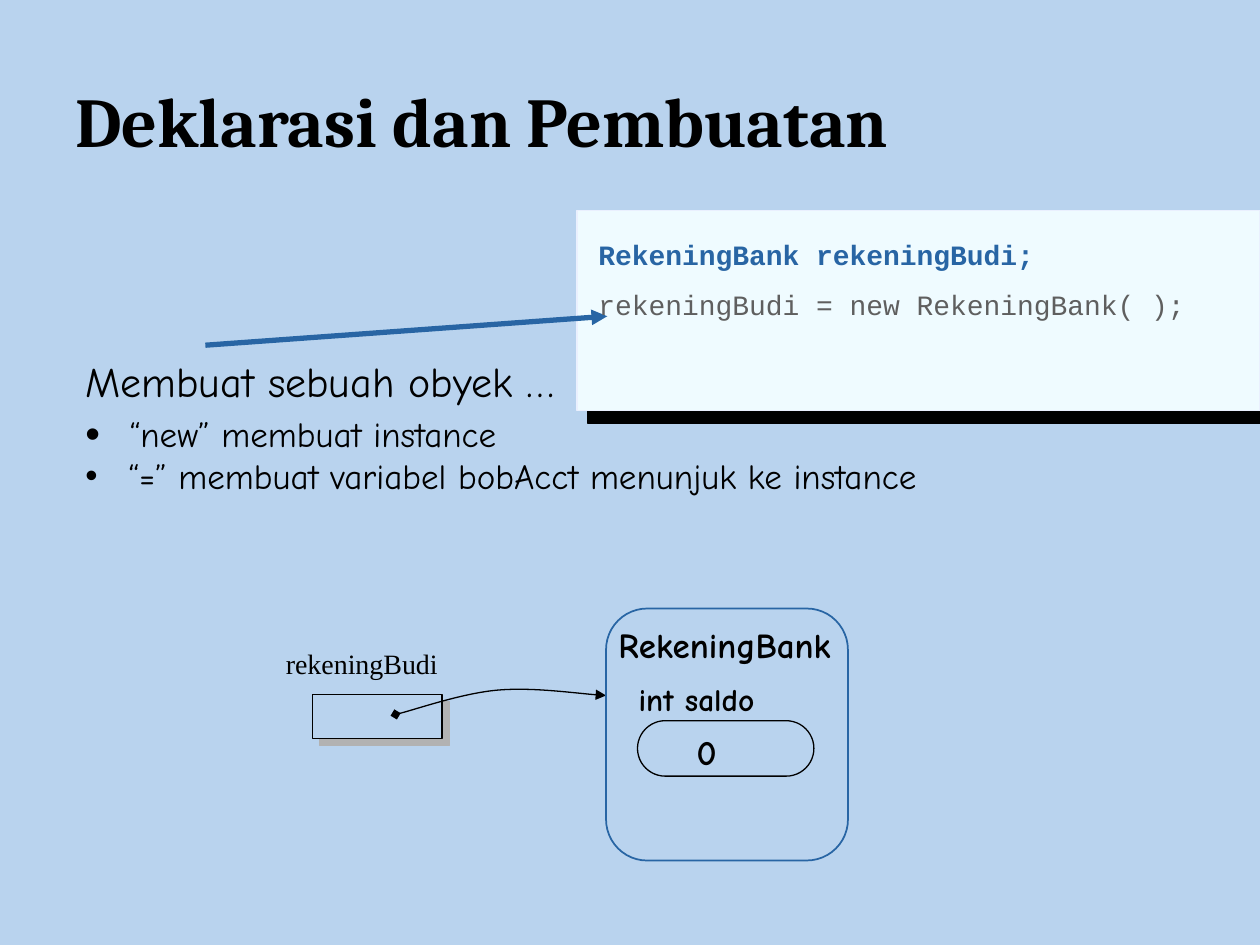
from dataclasses import dataclass

from lxml import etree
from pptx import Presentation
from pptx import util as u
from pptx.dml.color import RGBColor
from pptx.enum import shapes, text
from pptx.oxml.ns import qn


@dataclass(frozen=True)
class Theme:
    bg: str = "B9D3EE"
    ink: str = "000000"
    accent: str = "2865A4"
    muted: str = "5F5F5F"
    panel: str = "EFFBFF"
    panel_line: str = "EAF0FE"
    shade: str = "B2B2B2"
    heading: str = "Cambria"
    body: str = "Comic Neue"
    code: str = "Courier New"
    serif: str = "Times New Roman"
    title_size: int = 40
    lead_size: int = 24
    body_size: int = 20
    field_size: int = 18
    code_size: int = 16


T = Theme()


def rgb(value):
    return RGBColor.from_string(value)


def sub(parent, tag, **attrs):
    return etree.SubElement(parent, qn(tag), {k: str(v) for k, v in attrs.items()})


def set_line(line, color, width):
    line.color.rgb = rgb(color)
    line.width = u.Pt(width)


def add_ends(line, **ends):
    """Put arrowheads on a line: headEnd is its start, tailEnd its finish."""
    ln = line._get_or_add_ln()
    for tag, kind in ends.items():
        sub(ln, f"a:{tag}", type=kind)


def add_box(s, kind, box, line, width=0.75, fill=None, adj=None, shadow=None):
    sp = s.shapes.add_shape(kind, *map(u.Inches, box))
    sp.shadow.inherit = False
    if fill:
        sp.fill.solid()
        sp.fill.fore_color.rgb = rgb(fill)
    else:
        sp.fill.background()
    set_line(sp.line, line, width)
    if adj is not None:
        sp.adjustments[0] = adj
    if shadow:
        color, distance, angle = shadow
        effects = sp._element.spPr.find(qn("a:effectLst"))
        outer = sub(effects, "a:outerShdw", dist=u.Pt(distance),
                    dir=angle * 60000, algn="ctr", rotWithShape=0)
        sub(outer, "a:srgbClr", val=color)
    return sp


def style(p, font, size, color=T.ink, bold=False):
    for r in p.runs:
        r.font.name = font
        r.font.size = u.Pt(size)
        r.font.bold = bold
        r.font.color.rgb = rgb(color)


def add_text(s, box, content, font, size, bold=False, wrap=False):
    sp = s.shapes.add_textbox(*map(u.Inches, box))
    tf = sp.text_frame
    tf.word_wrap = wrap
    tf.auto_size = text.MSO_AUTO_SIZE.SHAPE_TO_FIT_TEXT
    tf.text = content
    for p in tf.paragraphs:
        style(p, font, size, bold=bold)
    return tf


def add_bullet(p, indent, percent):
    pPr = p._p.get_or_add_pPr()
    pPr.set("marL", str(u.Inches(indent)))
    pPr.set("indent", str(-u.Inches(indent)))
    sub(pPr, "a:buSzPct", val=percent * 1000)
    sub(pPr, "a:buFont", typeface="Arial")
    sub(pPr, "a:buChar", char="•")


def add_arrow(s, start, end, color, width):
    sp = s.shapes.add_connector(shapes.MSO_CONNECTOR.STRAIGHT,
                                *map(u.Inches, start + end))
    set_line(sp.line, color, width)
    sub(sp._element.spPr, "a:effectLst")
    # The effect list has to follow the line properties
    add_ends(sp.line, tailEnd="triangle")


def add_curve(s, points, color, width):
    """Draw a chain of cubic curves: a start, then three points per curve."""
    start, *rest = [tuple(map(u.Inches, pt)) for pt in points]
    builder = s.shapes.build_freeform(*start)
    builder.add_line_segments(rest, close=False)
    sp = builder.convert_to_shape()
    sp.shadow.inherit = False
    sp.fill.background()
    set_line(sp.line, color, width)
    add_ends(sp.line, headEnd="diamond", tailEnd="triangle")
    path = next(sp._element.iter(qn("a:path")))
    segments = path.findall(qn("a:lnTo"))
    for i in range(0, len(segments), 3):
        curve = sub(path, "a:cubicBezTo")
        for segment in segments[i:i + 3]:
            curve.append(segment[0])
            path.remove(segment)


def add_code_panel(s):
    add_box(s, shapes.MSO_SHAPE.RECTANGLE, (4.58, 1.67, 5.42, 1.59), T.panel_line,
            fill=T.panel, shadow=(T.ink, 9.2, 49))


def add_explanation(s):
    tf = add_text(s, (0.58, 2.77, 7.12, 1.23),
                  "Membuat sebuah obyek …\n“new” membuat instance\n"
                  "“=” membuat variabel bobAcct menunjuk ke instance",
                  T.body, T.body_size, wrap=True)
    lead, first, second = tf.paragraphs
    style(lead, T.body, T.lead_size)
    first.space_before = u.Pt(4)
    add_bullet(first, 0.35, 120)
    add_bullet(second, 0.34, 100)
    add_arrow(s, (1.63, 2.74), (4.82, 2.51), T.accent, 3)


def add_code(s):
    tf = add_text(s, (4.65, 1.7, 5.35, 1.23),
                  "RekeningBank rekeningBudi;\nrekeningBudi = new RekeningBank( );",
                  T.code, T.code_size, wrap=True)
    declaration, creation = tf.paragraphs
    style(declaration, T.code, T.code_size, T.accent, bold=True)
    style(creation, T.code, T.code_size, T.muted)
    for p in tf.paragraphs:
        p.line_spacing = 1.5


def add_variable(s):
    add_text(s, (2.17, 5.08, 1.43, 0.37), "rekeningBudi", T.serif, T.code_size)
    add_box(s, shapes.MSO_SHAPE.RECTANGLE, (2.48, 5.51, 1.03, 0.35), T.ink,
            fill=T.bg, shadow=(T.shade, 5.7, 45))
    add_curve(s, [(3.14, 5.67), (3.27, 5.64), (3.65, 5.51), (3.92, 5.48),
                  (4.2, 5.45), (4.62, 5.51), (4.81, 5.52)], T.ink, 0.75)


def add_instance(s):
    rounded = shapes.MSO_SHAPE.ROUNDED_RECTANGLE
    add_box(s, rounded, (4.81, 4.83, 1.92, 2), T.accent, width=1, adj=0.17)
    add_box(s, rounded, (5.06, 5.72, 1.4, 0.44), T.ink, fill=T.bg, adj=0.5)
    for box, label, size in (
        ((4.81, 4.9, 2, 0.44), "RekeningBank", T.body_size),
        ((4.97, 5.35, 1.24, 0.4), "int saldo", T.field_size),
        ((5.43, 5.75, 0.37, 0.43), "0", T.body_size),
    ):
        add_text(s, box, label, T.body, size, bold=True)


def main():
    prs = Presentation()
    prs.slide_width, prs.slide_height = u.Inches(10), u.Inches(7.5)
    s = prs.slides.add_slide(prs.slide_layouts[6])
    s.background.fill.solid()
    s.background.fill.fore_color.rgb = rgb(T.bg)

    # Title
    title = add_text(s, (0.5, 0.48, 8.95, 0.93), "Deklarasi dan Pembuatan",
                     T.heading, T.title_size, bold=True, wrap=True)
    title.auto_size = text.MSO_AUTO_SIZE.NONE
    title.vertical_anchor = text.MSO_ANCHOR.MIDDLE

    # Code and its explanation
    add_code_panel(s)
    add_explanation(s)
    add_code(s)

    # Variable pointing at the new instance
    add_variable(s)
    add_instance(s)

    prs.save("out.pptx")


if __name__ == "__main__":
    main()
